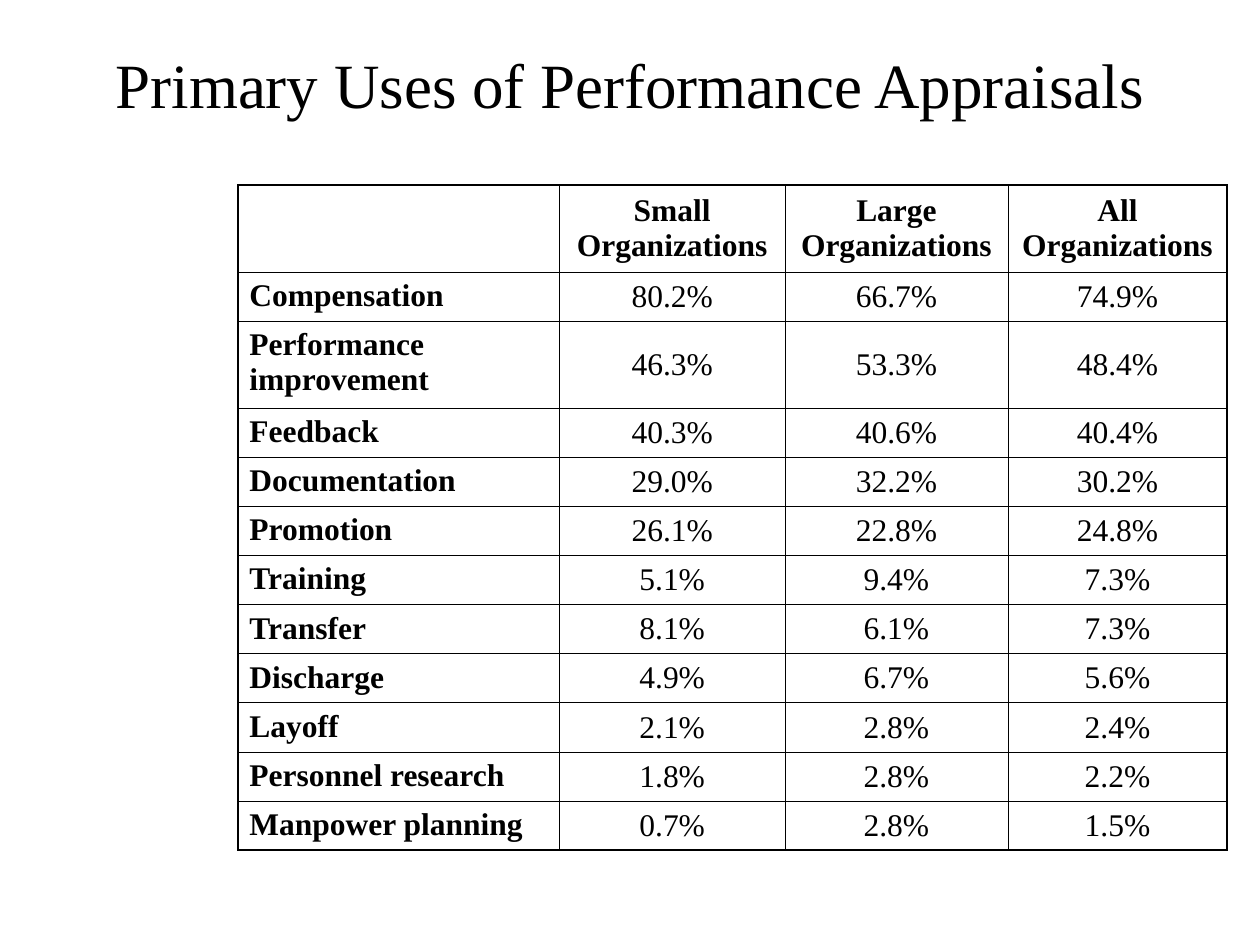
"""Build a slide with a table of the primary uses of performance appraisals."""
from dataclasses import dataclass
from typing import NamedTuple

from lxml import etree
from pptx import Presentation
from pptx.dml.color import RGBColor
from pptx.enum.text import MSO_ANCHOR, PP_ALIGN
from pptx.oxml.ns import qn
from pptx.slide import Slide
from pptx.table import _Cell
from pptx.text.text import _Paragraph
from pptx.util import Inches, Pt

CENTER, LEFT = PP_ALIGN.CENTER, PP_ALIGN.LEFT
MIDDLE, TOP = MSO_ANCHOR.MIDDLE, MSO_ANCHOR.TOP


@dataclass(frozen=True)
class Theme:
    """Colours, type sizes and line widths."""

    font: str = "Times New Roman"
    ink: str = "000000"
    paper: str = "FFFFFF"
    paper_alpha: int = 50
    title_size: float = 36
    cell_size: float = 18
    outer_line: float = 1.08
    inner_line: float = 0.45


class Row(NamedTuple):
    """One table row: its label, three values and height in inches."""

    label: str
    small: str
    large: str
    total: str
    height: float = 0.39


THEME = Theme()
COLUMN_WIDTHS = (2.55, 1.79, 1.77, 1.74)
TINTED_COLUMNS = (1, 3)
ROWS = (
    Row("", "Small Organizations", "Large Organizations", "All Organizations", 0.69),
    Row("Compensation", "80.2%", "66.7%", "74.9%"),
    Row("Performance improvement", "46.3%", "53.3%", "48.4%", 0.69),
    Row("Feedback", "40.3%", "40.6%", "40.4%"),
    Row("Documentation", "29.0%", "32.2%", "30.2%"),
    Row("Promotion", "26.1%", "22.8%", "24.8%"),
    Row("Training", "5.1%", "9.4%", "7.3%"),
    Row("Transfer", "8.1%", "6.1%", "7.3%"),
    Row("Discharge", "4.9%", "6.7%", "5.6%"),
    Row("Layoff", "2.1%", "2.8%", "2.4%"),
    Row("Personnel research", "1.8%", "2.8%", "2.2%"),
    Row("Manpower planning", "0.7%", "2.8%", "1.5%"),
)


def format_paragraph(p: _Paragraph, size: float, align: PP_ALIGN, bold: bool = False) -> None:
    """Set the font and alignment of a paragraph."""
    p.alignment = align
    p.font.name = THEME.font
    p.font.size = Pt(size)
    p.font.bold = bold
    p.font.color.rgb = RGBColor.from_string(THEME.ink)


def set_borders(cell: _Cell, row: int, col: int) -> None:
    """Draw heavier lines on the table's edge and thin lines inside."""
    tc_pr = cell._tc.get_or_add_tcPr()
    edges = {
        "a:lnL": col == 0,
        "a:lnR": col == len(COLUMN_WIDTHS) - 1,
        "a:lnT": row == 0,
        "a:lnB": row == len(ROWS) - 1,
    }
    for tag, is_outer in edges.items():
        width = THEME.outer_line if is_outer else THEME.inner_line
        ln = etree.SubElement(tc_pr, qn(tag), w=str(int(Pt(width))))
        fill = etree.SubElement(ln, qn("a:solidFill"))
        etree.SubElement(fill, qn("a:srgbClr"), val=THEME.ink)


def set_fill(cell: _Cell, tinted: bool) -> None:
    """Give a cell a translucent fill or none."""
    if not tinted:
        cell.fill.background()
        return
    cell.fill.solid()
    cell.fill.fore_color.rgb = RGBColor.from_string(THEME.paper)
    color = cell._tc.tcPr.find(qn("a:solidFill")).find(qn("a:srgbClr"))
    etree.SubElement(color, qn("a:alpha"), val=str(THEME.paper_alpha * 1000))


def add_title(slide: Slide, text: str) -> None:
    """Place and format the title placeholder."""
    title = slide.shapes.title
    title.left, title.top = Inches(0), Inches(0)
    title.width, title.height = Inches(10), Inches(1.33)
    tf = title.text_frame
    tf.text = text
    tf.vertical_anchor = MIDDLE
    format_paragraph(tf.paragraphs[0], THEME.title_size, CENTER)


def add_uses_table(slide: Slide) -> None:
    """Add the table of appraisal uses by organization size."""
    width = Inches(sum(COLUMN_WIDTHS))
    height = Inches(sum(row.height for row in ROWS))
    table = slide.shapes.add_table(
        len(ROWS), len(COLUMN_WIDTHS), Inches(1.89), Inches(1.47), width, height
    ).table
    table.first_row = table.horz_banding = False
    for column, column_width in zip(table.columns, COLUMN_WIDTHS):
        column.width = Inches(column_width)
    for i, row in enumerate(ROWS):
        table.rows[i].height = Inches(row.height)
        for j, text in enumerate(row[:-1]):
            cell = table.cell(i, j)
            is_label = j == 0
            cell.text = text
            cell.margin_left = cell.margin_right = Inches(0.09)
            cell.margin_top = cell.margin_bottom = Inches(0.05)
            cell.vertical_anchor = TOP if is_label else MIDDLE
            format_paragraph(
                cell.text_frame.paragraphs[0],
                THEME.cell_size,
                LEFT if is_label else CENTER,
                bold=is_label or i == 0,
            )
            set_borders(cell, i, j)
            set_fill(cell, j in TINTED_COLUMNS)


def main() -> None:
    """Build and save the presentation."""
    prs = Presentation()
    prs.slide_width, prs.slide_height = Inches(10), Inches(7.5)
    slide = prs.slides.add_slide(prs.slide_layouts[5])
    add_title(slide, "Primary Uses of Performance Appraisals")
    add_uses_table(slide)
    prs.save("out.pptx")


if __name__ == "__main__":
    main()
